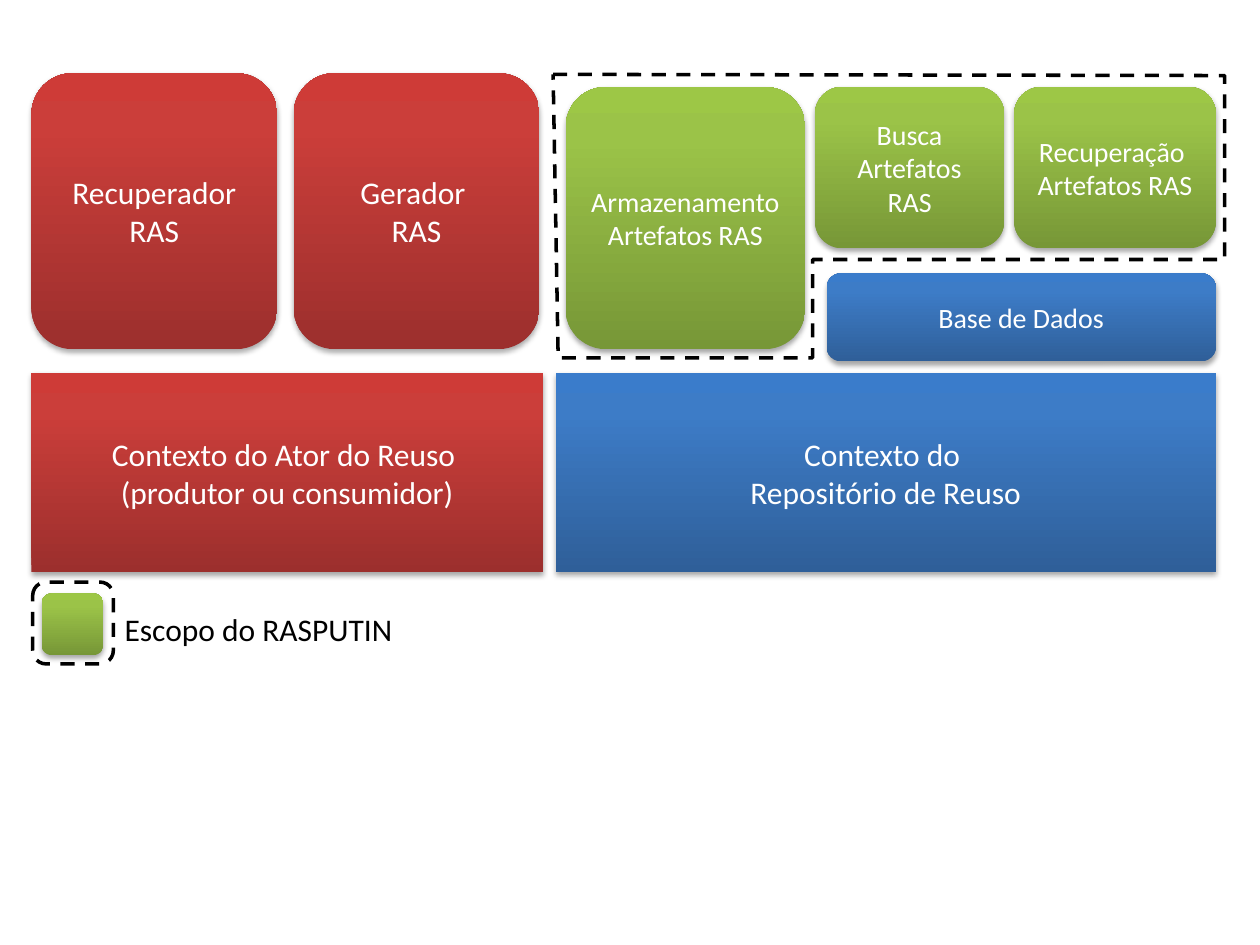
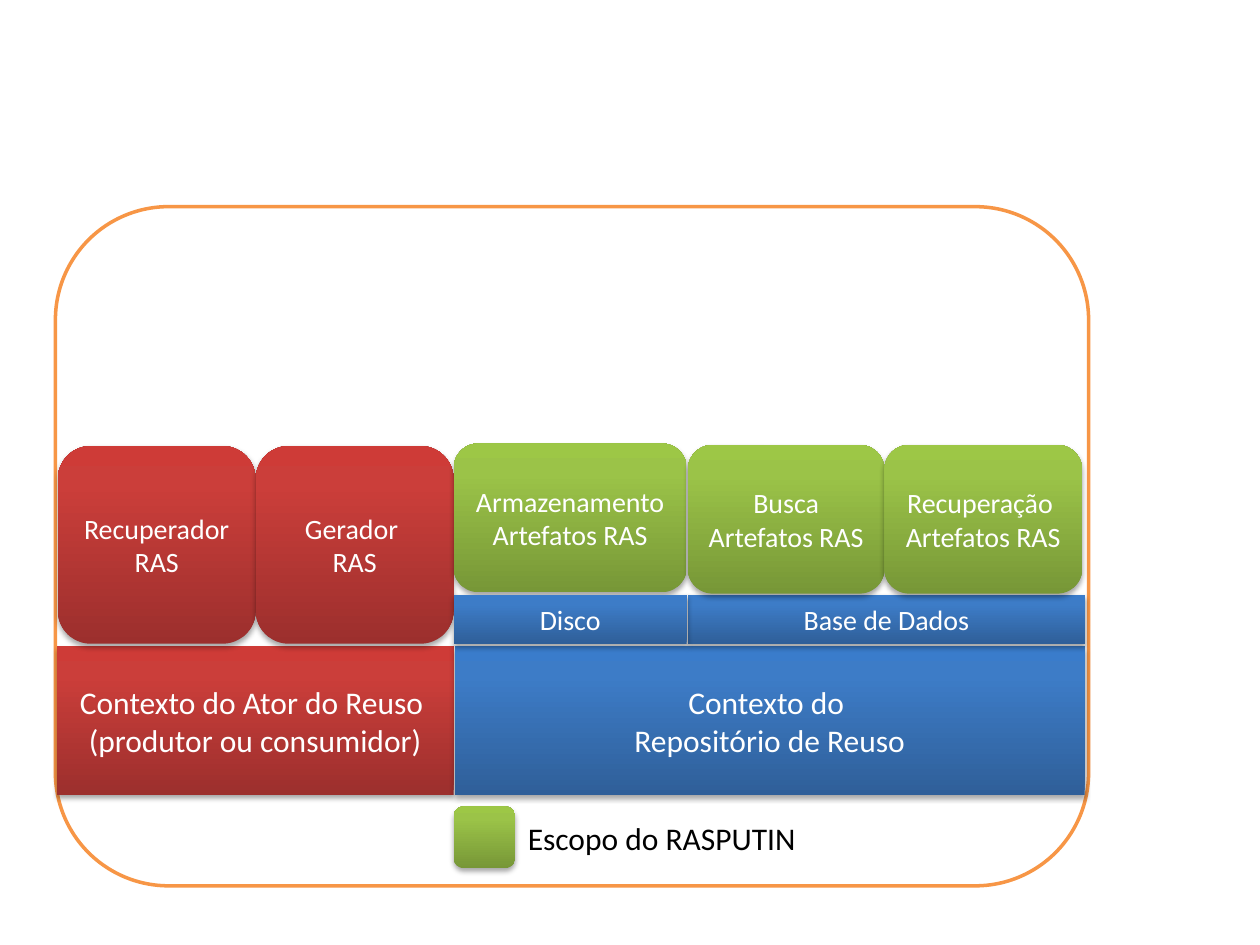
from pptx import Presentation
from pptx.dml.color import RGBColor
from pptx.enum.dml import MSO_LINE_DASH_STYLE as DASH
from pptx.enum.shapes import MSO_SHAPE
from pptx.enum.text import MSO_ANCHOR, MSO_AUTO_SIZE, PP_ALIGN
from pptx.oxml import parse_xml
from pptx.util import Pt

RECT, ROUND = MSO_SHAPE.RECTANGLE, MSO_SHAPE.ROUNDED_RECTANGLE
NAMESPACE = 'xmlns:a="http://schemas.openxmlformats.org/drawingml/2006/main"'
COLOURS = {"black": "000000", "white": "FFFFFF", "orange": "F79646"}
GRADIENTS = {
    "red": ("9C2F2D", "CB3E3A", "CE3B37"),
    "blue": ("2F5F99", "3D7CC7", "3A7CCB"),
    "green": ("779737", "9BC348", "9DC746"),
}
STOPS = (0, 80000, 100000)
PARTS = {
    "actor": ("red", "Contexto do Ator do Reuso \v(produtor ou consumidor)"),
    "repository": ("blue", "Contexto do \vRepositório de Reuso"),
    "retriever": ("red", "Recuperador RAS"),
    "generator": ("red", "Gerador \vRAS"),
    "storage": ("green", "Armazenamento Artefatos RAS"),
    "database": ("blue", "Base de Dados"),
    "search": ("green", "Busca Artefatos RAS"),
    "recovery": ("green", "Recuperação \nArtefatos RAS"),
    "disk": ("blue", "Disco"),
    "key": ("green", ""),
}
KEY_SIDE = 35.3
SCOPE_OUTLINE = [(316.1, 42.5), (699.8, 43.2), (699.8, 148.3),
                 (464.4, 148.3), (464.4, 204.5), (319, 204.5)]


def rgb(name):
    return RGBColor.from_string(COLOURS[name])


def apply_format(target, values):
    for name, value in values.items():
        setattr(target, name, value)


def write(box, text, size, colour, align):
    box.text_frame.text = text
    for para in box.text_frame.paragraphs:
        para.alignment = align
        for span in para.runs:
            apply_format(span.font, {"name": "Calibri", "size": Pt(size)})
            span.font.color.rgb = rgb(colour)


def add_box(page, geometry, at):
    box = page.shapes.add_shape(geometry, *map(Pt, at))
    box.shadow.inherit = False
    return box


def add_part(page, name, geometry, size, *at):
    gradient, text = PARTS[name]
    box = page.shapes.add_shape(geometry, *map(Pt, at))
    box.line.fill.background()
    stops = "".join(
        f'<a:gs pos="{stop}"><a:srgbClr val="{colour}"/></a:gs>'
        for stop, colour in zip(STOPS, GRADIENTS[gradient]))
    line = box.line._get_or_add_ln()
    line.addprevious(parse_xml(
        f'<a:gradFill {NAMESPACE} rotWithShape="1"><a:gsLst>{stops}</a:gsLst>'
        '<a:lin ang="16200000" scaled="0"/></a:gradFill>'))
    line.addnext(parse_xml(
        f'<a:effectLst {NAMESPACE}><a:outerShdw blurRad="{Pt(3.1)}" '
        f'dist="{Pt(1.8)}" dir="5400000" rotWithShape="0">'
        '<a:srgbClr val="000000"><a:alpha val="35000"/></a:srgbClr>'
        '</a:outerShdw></a:effectLst>'))
    apply_format(box.text_frame,
                 {"word_wrap": True, "vertical_anchor": MSO_ANCHOR.MIDDLE})
    if text:
        write(box, text, size, "white", PP_ALIGN.CENTER)


def add_key(page, left, top, text_left, text_top):
    add_part(page, "key", ROUND, 18, left, top, KEY_SIDE, KEY_SIDE)
    box = page.shapes.add_textbox(*map(Pt, (text_left, text_top, 169.2, 28.8)))
    apply_format(box.text_frame, {"word_wrap": False,
                                  "auto_size": MSO_AUTO_SIZE.SHAPE_TO_FIT_TEXT})
    write(box, "Escopo do RASPUTIN", 18, "black", PP_ALIGN.LEFT)


def outline(shape, colour, dash=None):
    apply_format(shape.line, {"width": Pt(2), "dash_style": dash})
    shape.line.color.rgb = rgb(colour)


def add_scope_outline(page):
    start, *rest = [(Pt(x), Pt(y)) for x, y in SCOPE_OUTLINE]
    builder = page.shapes.build_freeform(*start)
    builder.add_line_segments(rest, close=True)
    return builder.convert_to_shape()


def build_separate_blocks(page):
    for part in (
        ("actor", RECT, 18, 18, 213.1, 292.3, 113.8),
        ("repository", RECT, 18, 317.5, 213.1, 377.3, 113.8),
        ("retriever", ROUND, 18, 18, 41.8, 140.4, 157.7),
        ("generator", ROUND, 18, 167.8, 41.8, 140.4, 157.7),
        ("storage", ROUND, 16, 323.3, 49.7, 136.8, 149.8),
        ("database", ROUND, 16, 472.3, 156.2, 222.5, 50.4),
        ("search", ROUND, 16, 465.8, 49.7, 108, 92.2),
        ("recovery", ROUND, 16, 579.6, 49.7, 115.2, 92.2),
    ):
        add_part(page, *part)
    add_key(page, 23.8, 339.1, 64.1, 344.9)
    key_outline = add_box(page, ROUND, (18.7, 332.6, 46.1, 46.8))
    scope = add_scope_outline(page)
    scope.shadow.inherit = False
    for shape in (key_outline, scope):
        shape.fill.background()
        outline(shape, "black", DASH.DASH)


def build_stacked_blocks(page):
    frame = add_box(page, ROUND, (31.7, 118.1, 590.4, 388.1))
    frame.fill.solid()
    frame.fill.fore_color.rgb = rgb("white")
    outline(frame, "orange")
    for part in (
        ("actor", RECT, 18, 32.4, 369.4, 226.8, 85),
        ("repository", RECT, 18, 259.9, 369.4, 360, 85),
        ("retriever", ROUND, 16, 33.1, 254.9, 113, 113),
        ("generator", ROUND, 16, 146.2, 254.9, 113, 113),
        ("storage", ROUND, 16, 259.2, 253.4, 133.2, 85),
        ("database", RECT, 16, 393.1, 339.8, 226.8, 28.1),
        ("search", ROUND, 16, 393.1, 254.2, 112.3, 85),
        ("recovery", ROUND, 16, 505.4, 254.2, 113, 85),
    ):
        add_part(page, *part)
    add_key(page, 259.2, 460.8, 294.5, 464.4)
    add_part(page, "disk", RECT, 16, 259.2, 339.8, 133.2, 28.1)


def main():
    deck = Presentation()
    apply_format(deck, {"slide_width": Pt(720), "slide_height": Pt(540)})
    for build in (build_separate_blocks, build_stacked_blocks):
        build(deck.slides.add_slide(deck.slide_layouts[6]))
    deck.save("out.pptx")


main()
